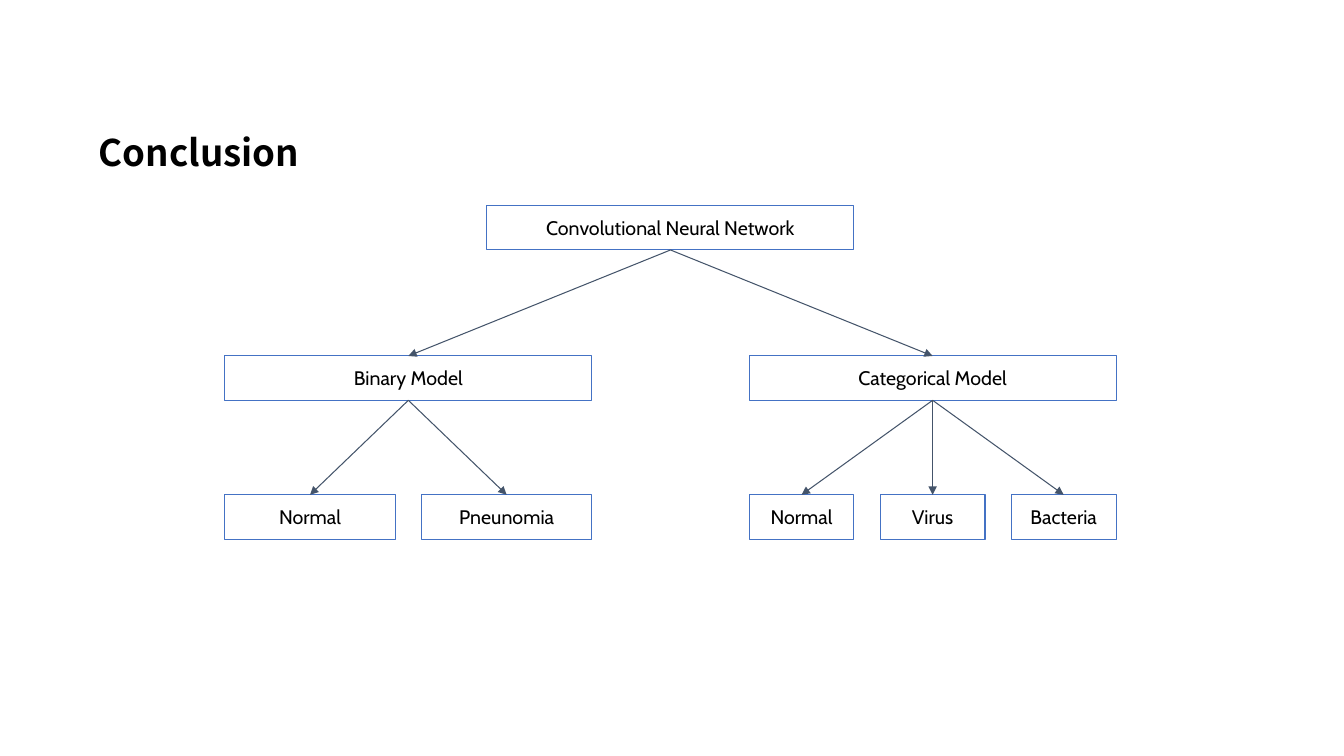
from dataclasses import dataclass

from lxml.etree import SubElement
from pptx import Presentation
from pptx.dml.color import RGBColor
from pptx.enum.shapes import MSO_CONNECTOR as Line, MSO_SHAPE as Shape
from pptx.enum.text import MSO_ANCHOR as Anchor, MSO_AUTO_SIZE as AutoSize, PP_ALIGN as Align
from pptx.oxml.ns import qn
from pptx.util import Inches, Pt

COL, ROW = 0.26, 0.44
LEFT, TOP = 2.23, 2.04
WIDE, GAP = 14, 1
ROOT_COL, LEAF_ROW = 10, 6.52
BOX_FONT = {"name": "Cabin", "size": Pt(14), "bold": False}
TITLE_FONT = {"name": "Noto Sans CJK SC", "size": Pt(26.2), "bold": True}
INSETS = {f"margin_{side}": Inches(0.1) for side in ("left", "top", "right", "bottom")}


@dataclass(frozen=True)
class Node:
    """A box of the tree, placed in grid columns and rows."""
    text: str
    col: float
    row: float
    span: float = WIDE


@dataclass(frozen=True)
class Branch:
    """A model with the classes it predicts."""
    model: Node
    classes: tuple[str, ...]


BRANCHES = (
    Branch(Node("Binary Model", 0, 3.39), ("Normal", "Pneunomia")),
    Branch(Node("Categorical Model", 20, 3.39), ("Normal", "Virus", "Bacteria")),
)


def rgb(code: str) -> RGBColor:
    """Turn a hex string into a colour."""
    return RGBColor.from_string(code)


def apply(target, values: dict) -> None:
    """Set each named attribute on the target."""
    for name, value in values.items():
        setattr(target, name, value)


def write(tf, text: str, font: dict, align: Align):
    """Write one formatted paragraph and return it."""
    p = tf.paragraphs[0]
    p.alignment = align
    r = p.add_run()
    r.text = text
    apply(r.font, font)
    r.font.color.rgb = rgb("000000")
    return p


def add_title(s, text: str) -> None:
    """Place the slide heading in the title placeholder."""
    sp = s.shapes.title
    apply(sp, {"left": Inches(0.88), "top": Inches(1.15),
               "width": Inches(2.56), "height": Inches(0.59)})
    tf = sp.text_frame
    apply(tf, {"word_wrap": True, "auto_size": AutoSize.NONE,
               "vertical_anchor": Anchor.MIDDLE})
    p = write(tf, text, TITLE_FONT, Align.LEFT)
    apply(p, {"line_spacing": 1.3, "space_before": Pt(10)})


def add_node(s, node: Node):
    """Draw an outlined box with centred text."""
    sp = s.shapes.add_shape(
        Shape.RECTANGLE, Inches(LEFT + node.col * COL), Inches(TOP + node.row * ROW),
        Inches(node.span * COL), Inches(ROW))
    sp.shadow.inherit = False
    sp.fill.background()
    sp.line.color.rgb = rgb("4472C4")
    sp.line.width = Pt(0.75)
    tf = sp.text_frame
    apply(tf, INSETS | {"word_wrap": True, "auto_size": AutoSize.SHAPE_TO_FIT_TEXT,
                        "vertical_anchor": Anchor.MIDDLE})
    write(tf, node.text, BOX_FONT, Align.CENTER)
    return sp


def add_arrow(s, parent, child) -> None:
    """Join the bottom of the parent to the top of the child."""
    c = s.shapes.add_connector(Line.STRAIGHT, 0, 0, 0, 0)
    c.begin_connect(parent, 2)
    c.end_connect(child, 0)
    c.line.color.rgb = rgb("44546A")
    c.line.width = Pt(0.75)
    SubElement(c.line._get_or_add_ln(), qn("a:tailEnd"), type="triangle")
    SubElement(c._element.spPr, qn("a:effectLst"))


def add_branch(s, root, branch: Branch) -> None:
    """Draw a model below the root and share its width among its classes."""
    model = add_node(s, branch.model)
    add_arrow(s, root, model)
    count = len(branch.classes)
    span = (WIDE - GAP * (count - 1)) / count
    for i, name in enumerate(branch.classes):
        col = branch.model.col + i * (span + GAP)
        add_arrow(s, model, add_node(s, Node(name, col, LEAF_ROW, span)))


def main() -> None:
    """Build the slide and save it."""
    prs = Presentation()
    apply(prs, {"slide_width": Inches(13.33), "slide_height": Inches(7.5)})
    s = prs.slides.add_slide(prs.slide_layouts[5])
    add_title(s, "Conclusion")
    root = add_node(s, Node("Convolutional Neural Network", ROOT_COL, 0))
    for branch in BRANCHES:
        add_branch(s, root, branch)
    prs.save("out.pptx")


if __name__ == "__main__":
    main()
